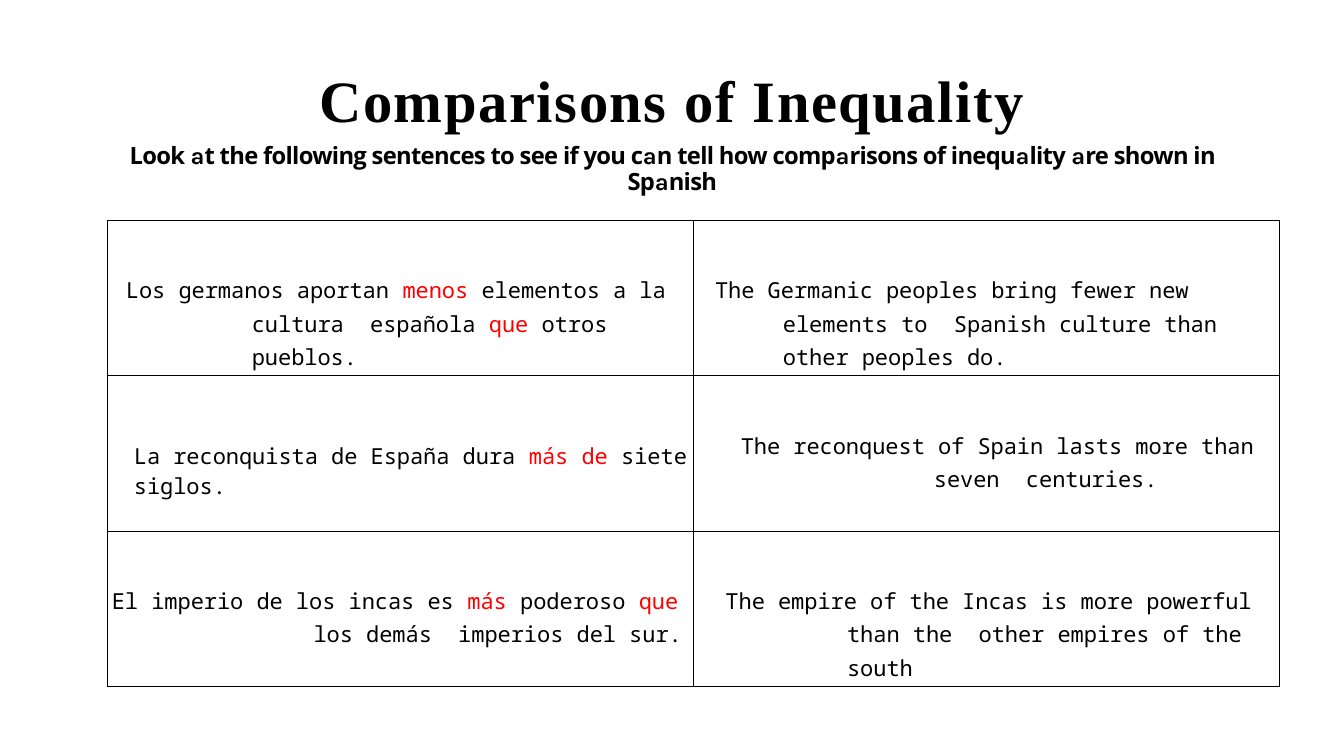
from lxml import etree
from pptx import Presentation
from pptx.dml.color import RGBColor
from pptx.enum.text import MSO_ANCHOR, PP_ALIGN
from pptx.oxml.ns import qn
from pptx.util import Pt

BLACK = RGBColor(0x00, 0x00, 0x00)
RED = RGBColor(0xFF, 0x00, 0x00)
CENTER = PP_ALIGN.CENTER
LEFT = PP_ALIGN.LEFT
TOP = MSO_ANCHOR.TOP

EMU_PER_PX = 9144  # 100 px to the inch
BORDER_WIDTH = Pt(1)
ROW_HEIGHT = 254
COLUMN_WIDTH = 959

TITLE = "Comparisons of Inequality"
SUBTITLE = ("Look at the following sentences to see if you can tell how "
            "comparisons of inequality are shown in Spanish")

# Each cell: text with |red| words, left margin, first-line indent,
# line spacing, top margin
SENTENCES = [
    [("Los germanos aportan |menos| elementos a la cultura  española |que| "
      "otros pueblos.", 237, -206, 1.11, 84),
     ("The Germanic peoples bring fewer new elements to  Spanish culture "
      "than other peoples do.", 147, -111, 1.11, 84)],
    [("La reconquista de España dura |más de| siete siglos.",
      44, 0, 1.0, 107),
     ("The reconquest of Spain lasts more than seven  centuries.",
      394, -316, 1.11, 84)],
    [("El imperio de los incas es |más| poderoso |que| los demás  imperios "
      "del sur.", 338, -330, 1.11, 84),
     ("The empire of the Incas is more powerful than the  other empires of "
      "the south", 252, -199, 1.11, 84)],
]


def px(length):
    return length * EMU_PER_PX


class SlideBuilder:
    def __init__(self, page):
        self.page = page

    def style(self, para, font_name, size, align, line_spacing, bold=False):
        para.alignment = align
        para.line_spacing = line_spacing
        para.font.name = font_name
        para.font.size = Pt(size)
        para.font.bold = bold
        para.font.color.rgb = BLACK

    def add_spans(self, para, text, spacing, accent_font=None, accent_color=None):
        """Add spans; pieces between | marks take the accent.

        Letter spacing is in hundredths of a point.
        """
        for index, piece in enumerate(text.split("|")):
            if not piece:
                continue
            span = para.add_run()
            span.text = piece
            span._r.get_or_add_rPr().set("spc", str(spacing))
            if index % 2 and accent_font:
                span.font.name = accent_font
            if index % 2 and accent_color:
                span.font.color.rgb = accent_color

    def heading(self, left, top, width, height):
        box = self.page.shapes.add_textbox(px(left), px(top), px(width), px(height))
        frame = box.text_frame
        frame.word_wrap = True
        frame.vertical_anchor = TOP
        frame.margin_left = frame.margin_right = 0
        frame.margin_top = frame.margin_bottom = 0

        title = frame.paragraphs[0]
        self.style(title, "Times New Roman", 69, CENTER, 0.9, bold=True)
        self.add_spans(title, TITLE, 190)

        subtitle = frame.add_paragraph()
        self.style(subtitle, "Open Sans", 28, CENTER, 0.9, bold=True)
        subtitle.space_before = Pt(10.9)
        self.add_spans(subtitle, SUBTITLE.replace("a", "|a|"), -80,
                       accent_font="Karla")

    def borders(self, cell):
        properties = cell._tc.get_or_add_tcPr()
        for side in ("a:lnL", "a:lnR", "a:lnT", "a:lnB"):
            line = etree.SubElement(properties, qn(side), w=str(BORDER_WIDTH))
            fill = etree.SubElement(line, qn("a:solidFill"))
            etree.SubElement(fill, qn("a:srgbClr"), val=str(BLACK))

    def sentence(self, cell, text, margin, indent, line_spacing, top_margin):
        cell.margin_left = cell.margin_right = cell.margin_bottom = 0
        cell.margin_top = px(top_margin)
        cell.vertical_anchor = TOP
        self.borders(cell)
        cell.fill.background()
        para = cell.text_frame.paragraphs[0]
        self.style(para, "Noto Sans Mono", 26, LEFT, line_spacing)
        properties = para._p.get_or_add_pPr()
        properties.set("marL", str(px(margin)))
        properties.set("indent", str(px(indent)))
        self.add_spans(para, text, -10, accent_color=RED)

    def sentence_table(self, left, top, rows):
        row_count, column_count = len(rows), len(rows[0])
        table = self.page.shapes.add_table(
            row_count, column_count, px(left), px(top),
            px(COLUMN_WIDTH * column_count), px(ROW_HEIGHT * row_count)).table
        table.first_row = False
        table.horz_banding = False
        for row_index, row in enumerate(rows):
            for column_index, entry in enumerate(row):
                self.sentence(table.cell(row_index, column_index), *entry)


def main():
    deck = Presentation()
    deck.slide_width = px(2199)
    deck.slide_height = px(1237)
    builder = SlideBuilder(deck.slides.add_slide(deck.slide_layouts[6]))
    builder.heading(135, 117, 1930, 205)
    builder.sentence_table(175, 361, SENTENCES)
    deck.save("out.pptx")


if __name__ == "__main__":
    main()
